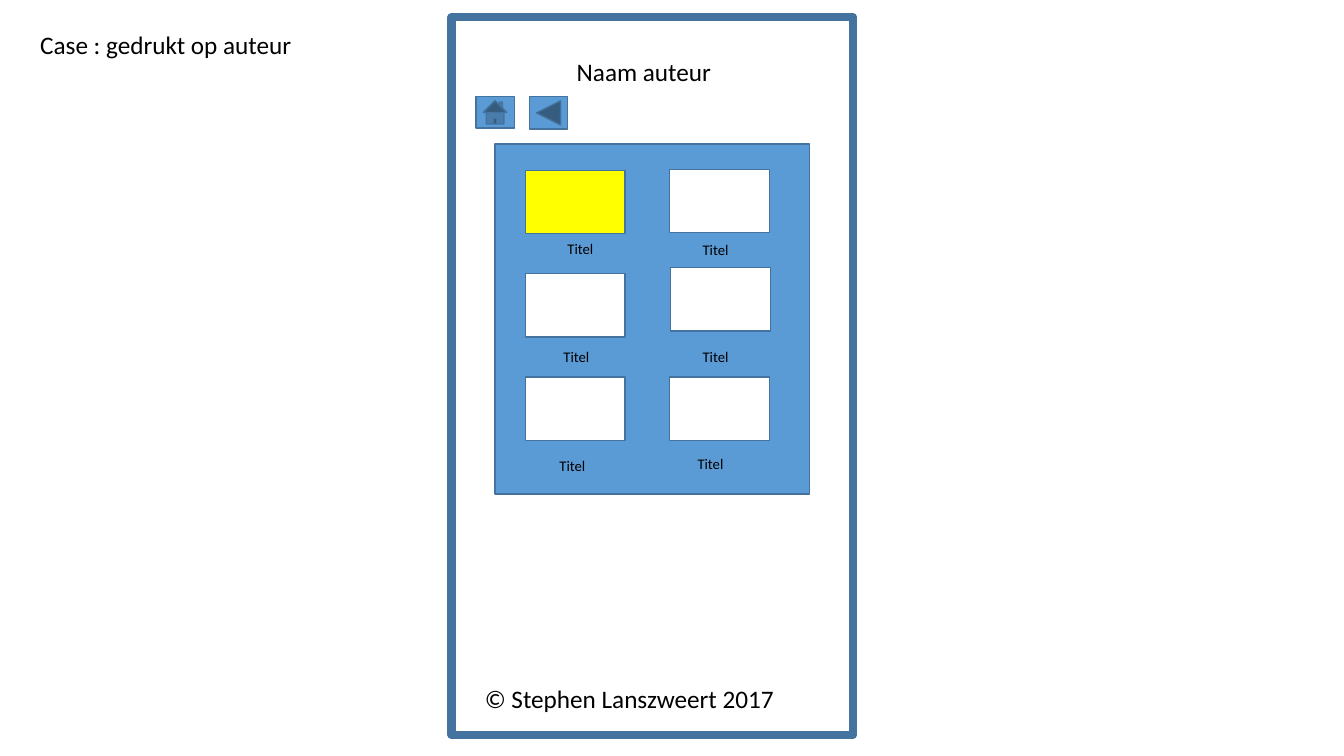
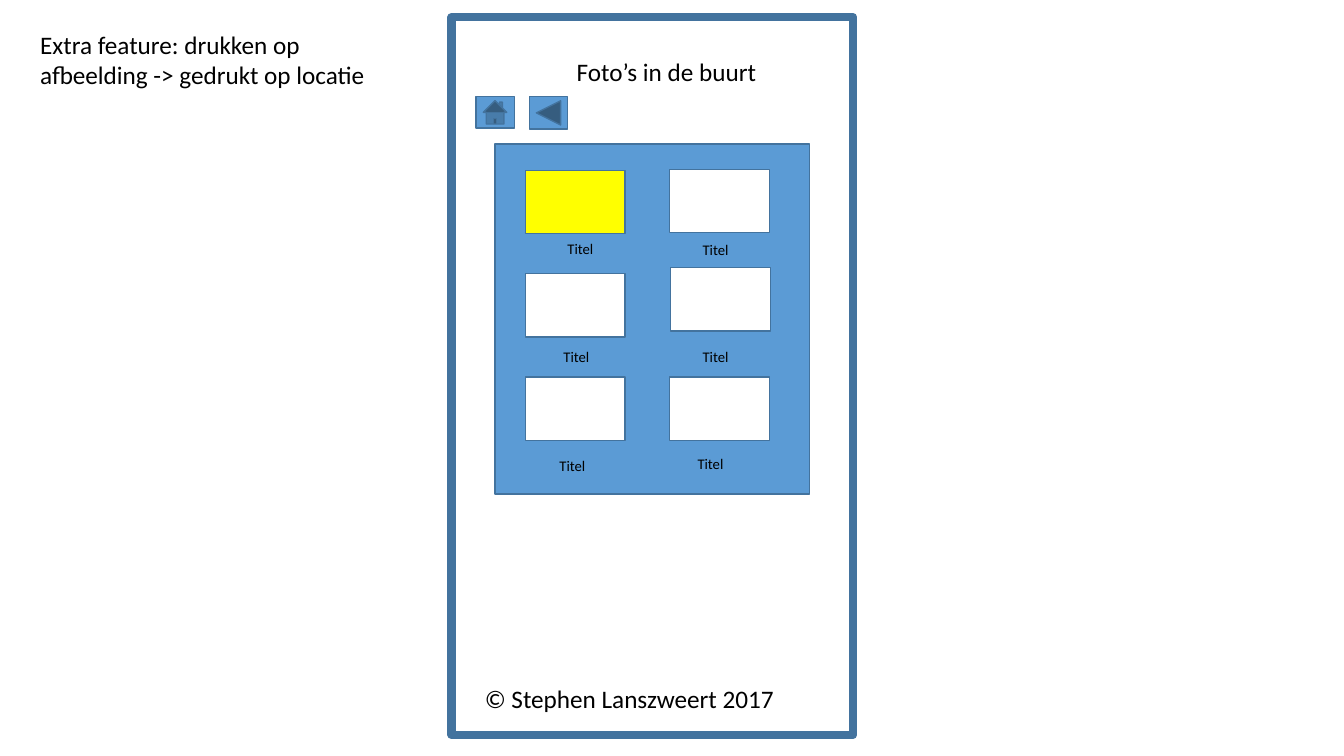
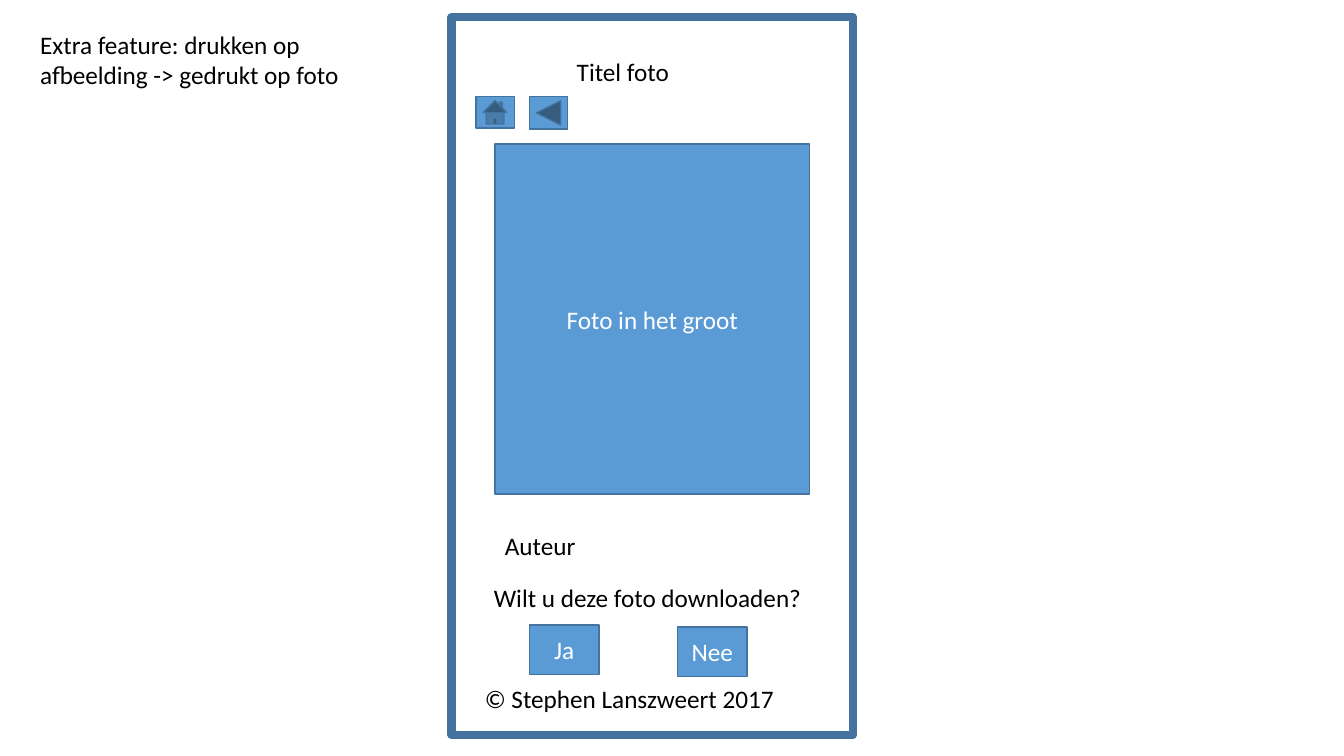
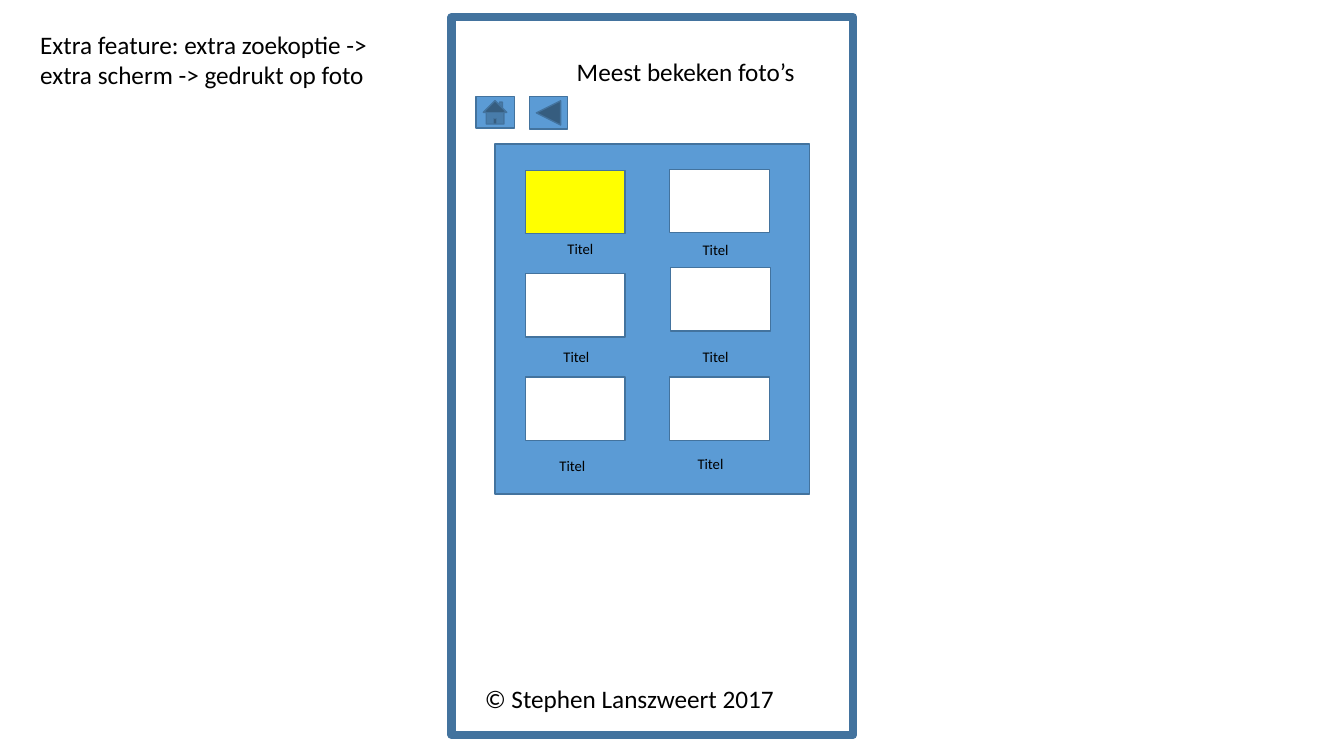
from dataclasses import dataclass
from typing import Any

import pptx
import pptx.dml.color
import pptx.enum.shapes
import pptx.enum.text
import pptx.util

CELL = 0.1  # inches per grid column and row
STEEL, SKY, YELLOW, WHITE, BLACK = "43739E", "5B9BD5", "FFFF00", "FFFFFF", "000000"
FONT = "Calibri"
BODY_SIZE, CAPTION_SIZE = 18, 10.5
SHAPES = pptx.enum.shapes.MSO_SHAPE
ALIGN = pptx.enum.text.PP_ALIGN
ANCHOR = pptx.enum.text.MSO_ANCHOR


@dataclass(frozen=True)
class Area:
    """A rectangle in grid columns and rows."""
    col: float
    row: float
    cols: float
    rows: float

    def emu(self) -> tuple[int, ...]:
        """Return left, top, width and height as lengths."""
        return tuple(pptx.util.Inches(n * CELL)
                     for n in (self.col, self.row, self.cols, self.rows))


@dataclass(frozen=True)
class Photo:
    """A thumbnail's grid place, with offsets for it and its caption."""
    column: int
    row: int
    shift: tuple[float, float] = (0, 0)
    caption_shift: tuple[float, float] = (0, 0)
    fill: str = WHITE


@dataclass(frozen=True)
class Screen:
    """One phone screen and the case it illustrates."""
    case: str
    heading: str
    case_rows: float = 7.1
    heading_cols: float = 21.4
    is_gallery: bool = True


PHONE = Area(44.8, 1.7, 39.8, 71.2)
PANEL = Area(49.1, 14.3, 31.2, 34.7)
HOME = Area(47.2, 9.6, 3.8, 3.1)
BACK = Area(52.5, 9.6, 3.8, 3.2)
COPYRIGHT = Area(47.1, 67.3, 35.3, 4)
AUTHOR = Area(49.1, 52.1, 25, 4)
QUESTION = Area(48, 57.3, 34.4, 4)
ANSWERS = {"Ja": Area(52.5, 62, 6.9, 4.9), "Nee": Area(67.2, 62.2, 6.9, 4.9)}

FIRST_PHOTO, PHOTO_STEP = Area(52.1, 16.9, 9.9, 6.3), (14.3, 10.25)
FIRST_CAPTION, CAPTION_STEP = Area(55.3, 23.3, 12.9, 2.8), (13.4, 10.75)
PHOTOS = [
    Photo(0, 0, fill=YELLOW),
    Photo(1, 0, shift=(0, -0.1), caption_shift=(0, 0.1)),
    Photo(0, 1, caption_shift=(-0.4, 0)),
    Photo(1, 1, shift=(0.1, -0.6)),
    Photo(0, 2, caption_shift=(-0.8, 0)),
    Photo(1, 2, caption_shift=(-0.5, -0.2)),
]

SCREENS = [
    Screen("Case : gedrukt op auteur", "Naam auteur", case_rows=4),
    Screen("Extra feature: drukken op afbeelding -> gedrukt op locatie",
           "Foto’s in de buurt"),
    Screen("Extra feature: drukken op afbeelding -> gedrukt op foto",
           "Titel foto", is_gallery=False),
    Screen("Extra feature: extra zoekoptie -> extra scherm -> gedrukt op foto",
           "Meest bekeken foto’s", heading_cols=24.1),
]


def color(code: str) -> pptx.dml.color.RGBColor:
    """Turn a hex string into a colour."""
    return pptx.dml.color.RGBColor.from_string(code)


def write(frame: Any, text: str, size: float = BODY_SIZE, ink: str = BLACK,
          align: Any = ALIGN.LEFT, anchor: Any = ANCHOR.TOP) -> None:
    """Write one formatted run into a text frame."""
    frame.word_wrap = True
    frame.vertical_anchor = anchor
    paragraph = frame.paragraphs[0]
    paragraph.alignment = align
    run = paragraph.add_run()
    run.text = text
    run.font.name = FONT
    run.font.size = pptx.util.Pt(size)
    run.font.color.rgb = color(ink)


def add_label(slide: Any, area: Area, text: str, size: float = BODY_SIZE) -> None:
    """Add a text box that grows with its text."""
    frame = slide.shapes.add_textbox(*area.emu()).text_frame
    write(frame, text, size)
    frame.auto_size = pptx.enum.text.MSO_AUTO_SIZE.SHAPE_TO_FIT_TEXT


def add_block(slide: Any, area: Area, fill: str = SKY, text: str = "",
              outline: Any = SHAPES.RECTANGLE, weight: float = 1) -> None:
    """Add an outlined shape; an empty fill leaves it see-through."""
    block = slide.shapes.add_shape(outline, *area.emu())
    block.shadow.inherit = False
    if fill:
        block.fill.solid()
        block.fill.fore_color.rgb = color(fill)
    else:
        block.fill.background()
    block.line.color.rgb = color(STEEL)
    block.line.width = pptx.util.Pt(weight)
    if text:
        write(block.text_frame, text, ink=WHITE, align=ALIGN.CENTER,
              anchor=ANCHOR.MIDDLE)


def set_heading(slide: Any, screen: Screen) -> None:
    """Place and fill the title placeholder."""
    heading = slide.shapes.title
    area = Area(56.2, 5.1, screen.heading_cols, 4)
    heading.left, heading.top, heading.width, heading.height = area.emu()
    write(heading.text_frame, screen.heading)
    heading.text_frame.auto_size = pptx.enum.text.MSO_AUTO_SIZE.SHAPE_TO_FIT_TEXT


def grid_area(first: Area, step: tuple[float, float], photo: Photo,
              shift: tuple[float, float]) -> Area:
    """Step from the first area to the place of a photo."""
    return Area(first.col + photo.column * step[0] + shift[0],
                first.row + photo.row * step[1] + shift[1],
                first.cols, first.rows)


def add_gallery(slide: Any) -> None:
    """Draw the panel with captioned thumbnails."""
    add_block(slide, PANEL)
    for photo in PHOTOS:
        add_block(slide, grid_area(FIRST_PHOTO, PHOTO_STEP, photo, photo.shift),
                  photo.fill)
    for photo in PHOTOS:
        add_label(slide, grid_area(FIRST_CAPTION, CAPTION_STEP, photo,
                                   photo.caption_shift), "Titel", CAPTION_SIZE)


def add_detail(slide: Any) -> None:
    """Draw the large photo with its author and download question."""
    add_block(slide, PANEL, text="Foto in het groot")
    add_label(slide, AUTHOR, "Auteur")
    add_label(slide, QUESTION, "Wilt u deze foto downloaden?")
    for answer, area in ANSWERS.items():
        add_block(slide, area, text=answer)


def add_screen(deck: Any, screen: Screen) -> None:
    """Build one slide with the shared phone and its content."""
    slide = deck.slides.add_slide(deck.slide_layouts.get_by_name("Title Only"))
    set_heading(slide, screen)
    add_block(slide, PHONE, fill="", weight=6)
    add_label(slide, COPYRIGHT, "© Stephen Lanszweert 2017")
    add_label(slide, Area(3, 2.4, 35.1, screen.case_rows), screen.case)
    if screen.is_gallery:
        add_gallery(slide)
    else:
        add_detail(slide)
    add_block(slide, HOME, outline=SHAPES.ACTION_BUTTON_HOME)
    add_block(slide, BACK, outline=SHAPES.ACTION_BUTTON_BACK_OR_PREVIOUS)


def main() -> None:
    """Build and save the deck."""
    deck = pptx.Presentation()
    deck.slide_width = pptx.util.Inches(13.33)
    deck.slide_height = pptx.util.Inches(7.5)
    for screen in SCREENS:
        add_screen(deck, screen)
    deck.save("out.pptx")


main()
